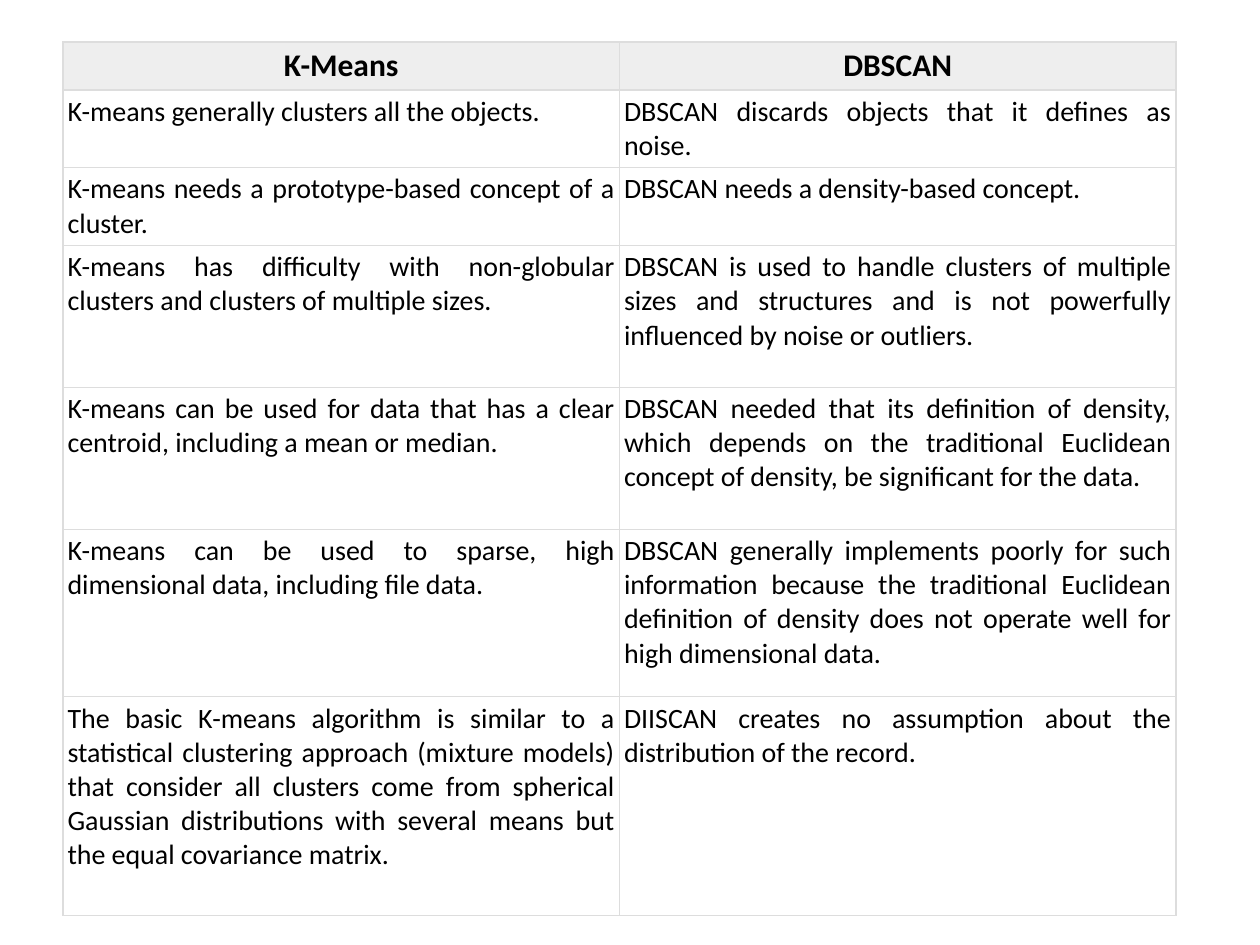
from lxml import etree
from pptx import Presentation
from pptx.dml.color import RGBColor
from pptx.enum.text import MSO_ANCHOR, PP_ALIGN
from pptx.oxml.ns import qn
from pptx.util import Pt

CENTER, JUSTIFY = PP_ALIGN.CENTER, PP_ALIGN.JUSTIFY
TOP = MSO_ANCHOR.TOP
BLACK = RGBColor(0x00, 0x00, 0x00)
WHITE = RGBColor(0xFF, 0xFF, 0xFF)
PALE = RGBColor(0xEE, 0xEE, 0xEE)
GRAY = RGBColor(0xDD, 0xDD, 0xDD)

INSET = Pt(2.63)
CELL = {
    "margin_left": INSET,
    "margin_right": INSET,
    "margin_top": INSET,
    "margin_bottom": INSET,
    "vertical_anchor": TOP,
}
BODY = {"name": "Calibri", "size": Pt(16), "bold": False}
HEAD = {**BODY, "size": Pt(18), "bold": True}

HEIGHTS = [27.4, 44.4, 44.4, 81.1, 81.1, 95.8, 124.8]
ROWS = [
    ("K-Means", "DBSCAN"),
    ("K-means generally clusters all the objects.",
     "DBSCAN discards objects that it defines as noise."),
    ("K-means needs a prototype-based concept of a cluster.",
     "DBSCAN needs a density-based concept."),
    ("K-means has difficulty with non-globular clusters and clusters of "
     "multiple sizes.",
     "DBSCAN is used to handle clusters of multiple sizes and structures "
     "and is not powerfully influenced by noise or outliers."),
    ("K-means can be used for data that has a clear centroid, including a "
     "mean or median.",
     "DBSCAN needed that its definition of density, which depends on the "
     "traditional Euclidean concept of density, be significant for the data."),
    ("K-means can be used to sparse, high dimensional data, including file "
     "data.",
     "DBSCAN generally implements poorly for such information because the "
     "traditional Euclidean definition of density does not operate well for "
     "high dimensional data."),
    ("The basic K-means algorithm is similar to a statistical clustering "
     "approach (mixture models) that consider all clusters come from "
     "spherical Gaussian distributions with several means but the equal "
     "covariance matrix.",
     "DIISCAN creates no assumption about the distribution of the record."),
]


def put(item, form):
    for key, value in form.items():
        setattr(item, key, value)


def add_edges(cell):
    props = cell._tc.get_or_add_tcPr()
    for at, side in enumerate(("lnL", "lnR", "lnT", "lnB")):
        line = etree.Element(qn(f"a:{side}"), w=str(Pt(0.75)))
        fill = etree.SubElement(line, qn("a:solidFill"))
        etree.SubElement(fill, qn("a:srgbClr"), val=str(GRAY))
        props.insert(at, line)


def fill_cell(cell, text, font, align, color):
    put(cell, CELL)
    cell.fill.solid()
    cell.fill.fore_color.rgb = color
    add_edges(cell)
    para = cell.text_frame.paragraphs[0]
    para.alignment = align
    run = para.add_run()
    run.text = text
    put(run.font, font)
    run.font.color.rgb = BLACK


def add_grid(slide, left, top, width, height):
    count = len(ROWS[0])
    frame = slide.shapes.add_table(
        len(ROWS), count, Pt(left), Pt(top), Pt(width), Pt(height))
    table = frame.table
    table.horz_banding = False
    for col in table.columns:
        col.width = Pt(width / count)
    for r, (texts, tall) in enumerate(zip(ROWS, HEIGHTS)):
        table.rows[r].height = Pt(tall)
        look = (BODY, JUSTIFY, WHITE) if r else (HEAD, CENTER, PALE)
        for c, text in enumerate(texts):
            fill_cell(table.cell(r, c), text, *look)


def main():
    deck = Presentation()
    deck.slide_width, deck.slide_height = Pt(720), Pt(540)
    slide = deck.slides.add_slide(deck.slide_layouts[6])
    add_grid(slide, 36, 24, 636, sum(HEIGHTS))
    deck.save("out.pptx")


if __name__ == "__main__":
    main()
